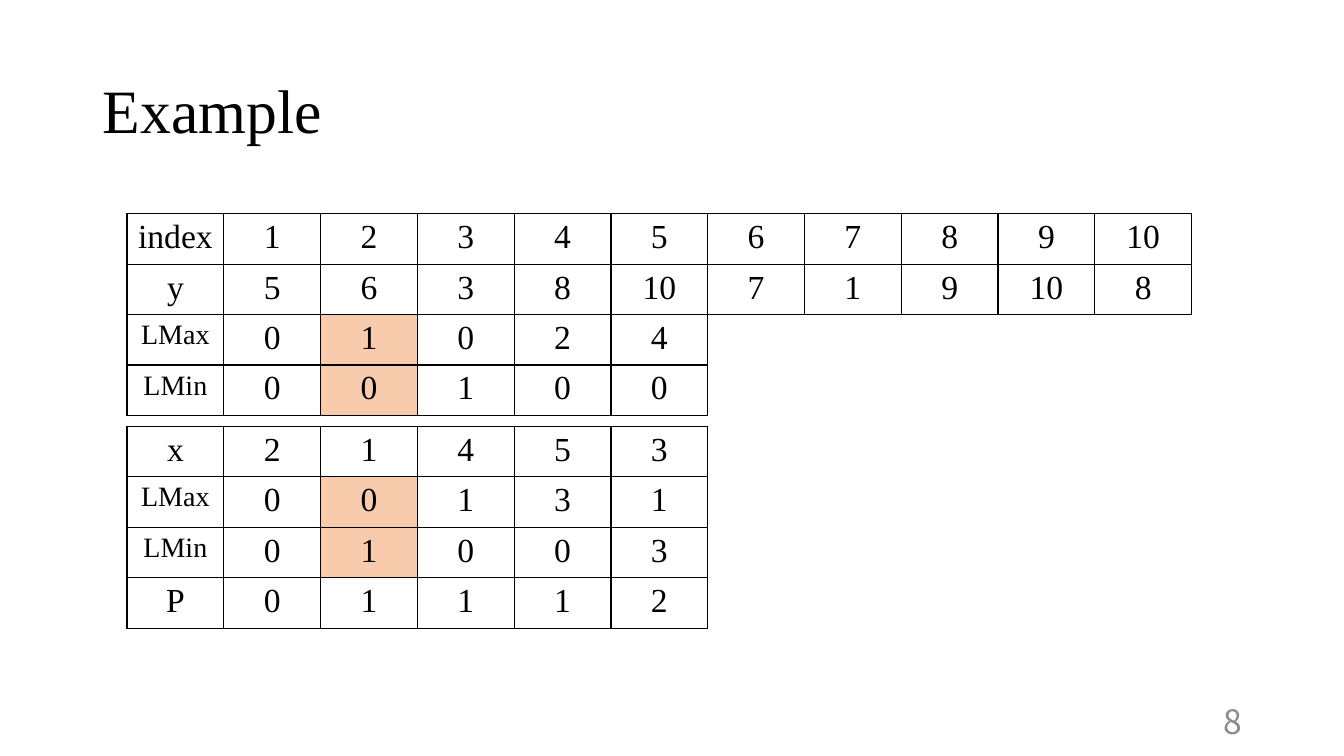
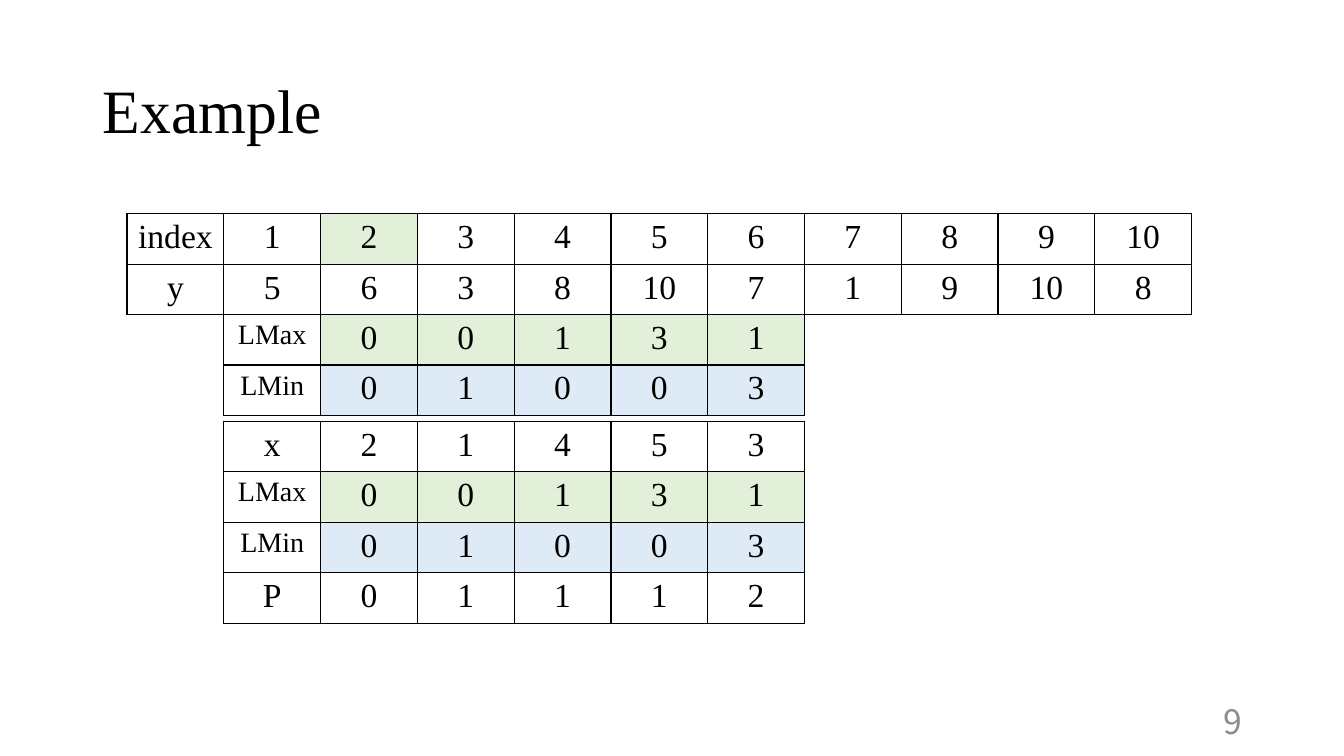
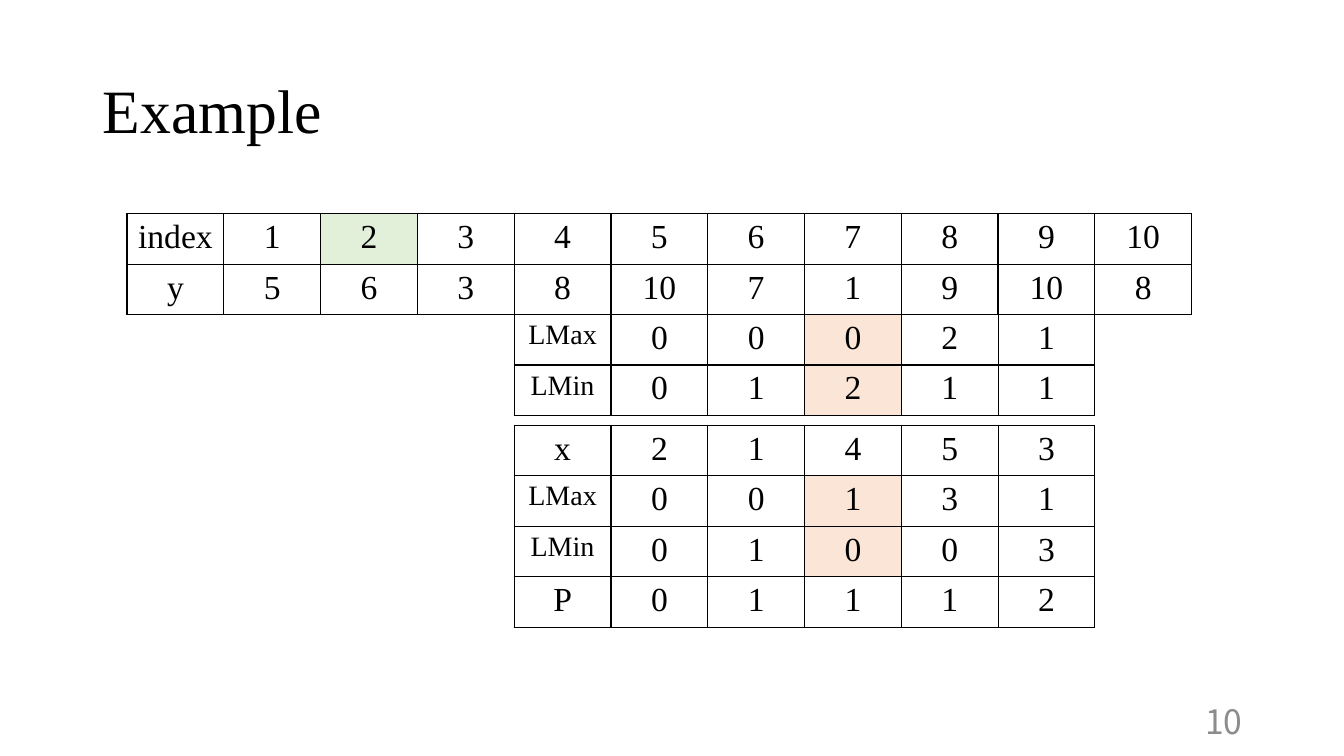
"""Build three slides that compare a pattern with windows of a sequence."""
import lxml.etree
import pptx
import pptx.dml.color
import pptx.enum.text
import pptx.oxml.ns
import pptx.util

RGBColor = pptx.dml.color.RGBColor
ALIGN = pptx.enum.text.PP_ALIGN
BLACK = RGBColor(0x00, 0x00, 0x00)
GRAY = RGBColor(0x8C, 0x8C, 0x8C)
ORANGE = RGBColor(0xF8, 0xCB, 0xAD)
PEACH = RGBColor(0xFB, 0xE5, 0xD6)
GREEN = RGBColor(0xE2, 0xF0, 0xD9)
BLUE = RGBColor(0xDE, 0xEB, 0xF7)

SERIF = "Times New Roman"
NUMBER_FONT = "Noto Sans CJK JP"
WIDTH, HEIGHT = 13.33, 7.5
LEFT, COL, ROW = 1.26, 0.96, 0.47
SEQUENCE_TOP, WINDOW_TOP = 2.12, 3.12
SMALL_LABELS = ("LMax", "LMin")

SEQUENCE = [
    ["index", *range(1, 11)],
    ["y", 5, 6, 3, 8, 10, 7, 1, 9, 10, 8],
]
PATTERN = [
    ["x", 2, 1, 4, 5, 3],
    ["LMax", 0, 0, 1, 3, 1],
    ["LMin", 0, 1, 0, 0, 3],
    ["P", 0, 1, 1, 1, 2],
]
INDEX_MARK = {("index", 2): GREEN}
MATCH_MARKS = {(label, c): color for c in range(1, 6)
               for label, color in (("LMax", GREEN), ("LMin", BLUE))}


def mismatch_marks(column, color):
    return {(label, column): color for label in SMALL_LABELS}


def set_text(tf, text, size=24, font=SERIF, color=BLACK, align=ALIGN.CENTER, spacing=1.0):
    p = tf.paragraphs[0]
    p.alignment = align
    p.line_spacing = spacing
    r = p.add_run()
    r.text = str(text)
    r.font.size = pptx.util.Pt(size)
    r.font.name = font
    r.font.bold = False
    r.font.color.rgb = color


def add_text(slide, box, text, **fmt):
    sp = slide.shapes.add_textbox(*map(pptx.util.Inches, box))
    tf = sp.text_frame
    tf.word_wrap = True
    tf.vertical_anchor = pptx.enum.text.MSO_ANCHOR.MIDDLE
    set_text(tf, text, **fmt)


def set_borders(cell):
    tc_pr = cell._tc.get_or_add_tcPr()
    for side in ("lnL", "lnR", "lnT", "lnB"):
        ln = lxml.etree.SubElement(tc_pr, pptx.oxml.ns.qn(f"a:{side}"), w=str(pptx.util.Pt(1)))
        fill = lxml.etree.SubElement(ln, pptx.oxml.ns.qn("a:solidFill"))
        lxml.etree.SubElement(fill, pptx.oxml.ns.qn("a:srgbClr"), val=str(BLACK))


def add_grid(slide, column, top, rows, marks):
    n_rows, n_cols = len(rows), len(rows[0])
    box = (LEFT + column * COL, top, n_cols * COL, n_rows * ROW)
    table = slide.shapes.add_table(n_rows, n_cols, *map(pptx.util.Inches, box)).table
    table.first_row = table.horz_banding = False
    for i, row in enumerate(rows):
        for j, value in enumerate(row):
            cell = table.cell(i, j)
            set_text(cell.text_frame, value, size=20 if value in SMALL_LABELS else 24)
            set_borders(cell)
            color = marks.get((row[0], j))
            if color is None:
                cell.fill.background()
            else:
                cell.fill.solid()
                cell.fill.fore_color.rgb = color


def add_example(prs, number, column, lmax, lmin, marks, index_mark, pattern_top):
    slide = prs.slides.add_slide(prs.slide_layouts[6])
    add_text(slide, (0.92, 0.4, 11.5, 1.45), "Example", size=44, align=ALIGN.LEFT, spacing=0.9)
    add_text(slide, (9.42, 6.95, 3, 0.4), number, font=NUMBER_FONT, color=GRAY, align=ALIGN.RIGHT)
    window = [["LMax", *lmax], ["LMin", *lmin]]
    add_grid(slide, 0, SEQUENCE_TOP, SEQUENCE, index_mark)
    add_grid(slide, column, WINDOW_TOP, window, marks)
    add_grid(slide, column, pattern_top, PATTERN, marks)


def main():
    prs = pptx.Presentation()
    prs.slide_width = pptx.util.Inches(WIDTH)
    prs.slide_height = pptx.util.Inches(HEIGHT)
    add_example(prs, 8, 0, [0, 1, 0, 2, 4], [0, 0, 1, 0, 0],
                mismatch_marks(2, ORANGE), {}, 4.23)
    add_example(prs, 9, 1, [0, 0, 1, 3, 1], [0, 1, 0, 0, 3],
                MATCH_MARKS, INDEX_MARK, 4.18)
    add_example(prs, 10, 4, [0, 0, 0, 2, 1], [0, 1, 2, 1, 1],
                mismatch_marks(3, PEACH), INDEX_MARK, 4.22)
    prs.save("out.pptx")


if __name__ == "__main__":
    main()
